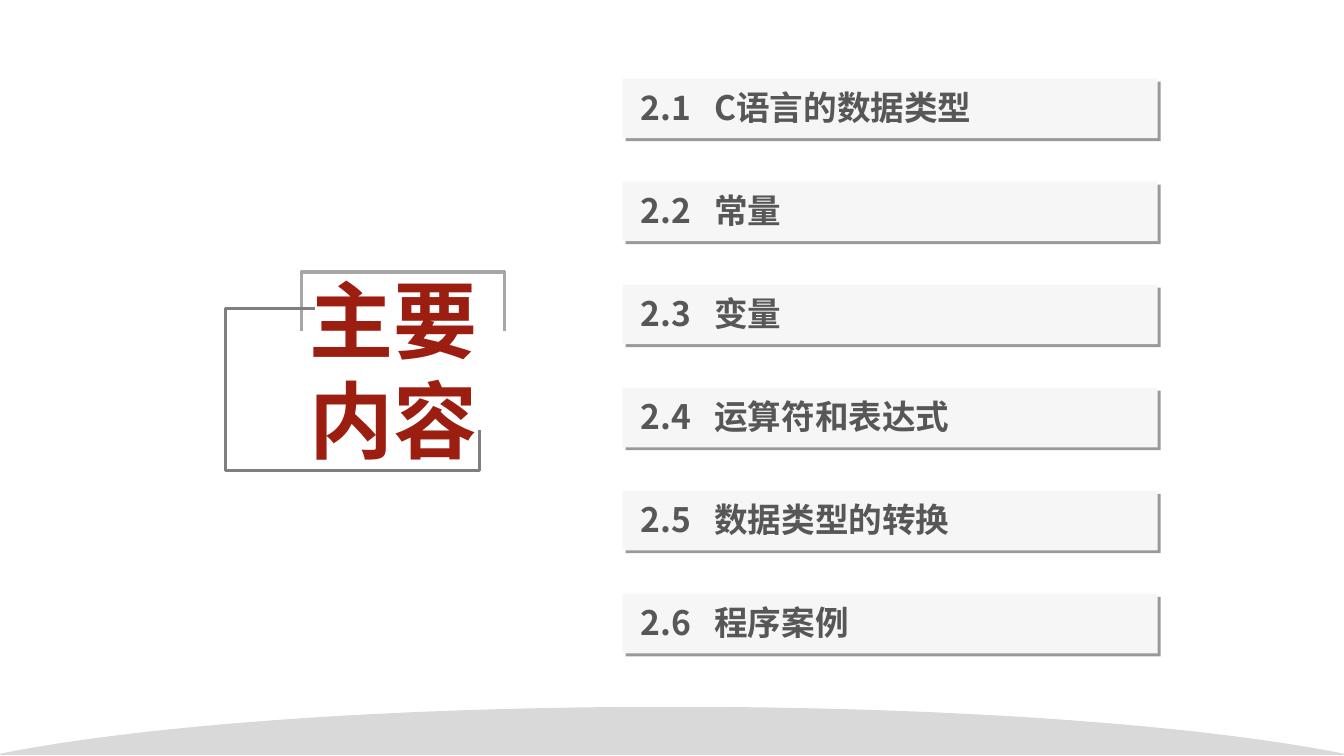
from lxml import etree
from pptx import Presentation
from pptx.dml.color import RGBColor
from pptx.enum.shapes import MSO_SHAPE
from pptx.enum.text import MSO_ANCHOR, PP_ALIGN
from pptx.oxml.ns import qn
from pptx.util import Pt

RECTANGLE = MSO_SHAPE.RECTANGLE
MIDDLE = MSO_ANCHOR.MIDDLE
LEFT, RIGHT = PP_ALIGN.LEFT, PP_ALIGN.RIGHT

SLIDE_W, SLIDE_H = 960.5, 540
FONT = "Noto Sans CJK SC"
TITLE_LINES = ["主要", "内容"]
SECTIONS = [
    ("2.1", "C语言的数据类型"),
    ("2.2", "常量"),
    ("2.3", "变量"),
    ("2.4", "运算符和表达式"),
    ("2.5", "数据类型的转换"),
    ("2.6", "程序案例"),
]
BAR_LEFT, BAR_TOP, BAR_W, BAR_H, BAR_PITCH = 445, 56.2, 382.3, 42.5, 73.6
HEADING_TAB = 52.5


def rgb(color):
    return RGBColor.from_string(color)


def add_child(parent, tag, **attributes):
    return etree.SubElement(parent, qn(tag), attributes)


def style_paragraph(paragraph, size, color, align):
    paragraph.alignment = align
    font = paragraph.font
    font.name, font.size, font.bold = FONT, Pt(size), True
    font.color.rgb = rgb(color)
    add_child(paragraph._p.pPr.find(qn("a:defRPr")), "a:ea", typeface=FONT)


def add_outline(slide, points, line_color, line_width, fill_color=None):
    """Draw a path through points; it is closed only when it has a fill."""
    corners = [(Pt(x), Pt(y)) for x, y in points]
    builder = slide.shapes.build_freeform(*corners[0], scale=1.0)
    builder.add_line_segments(corners[1:], close=fill_color is not None)
    outline = builder.convert_to_shape()
    outline.shadow.inherit = False
    if fill_color:
        outline.fill.solid()
        outline.fill.fore_color.rgb = rgb(fill_color)
    else:
        outline.fill.background()
    outline.line.color.rgb = rgb(line_color)
    outline.line.width = Pt(line_width)


def add_hill(slide, crest=505.4, shoulder=518.4, foot=538.9, steps=40):
    """Draw the flat dome along the foot of the slide, mirrored about its centre."""
    center = SLIDE_W / 2
    right_half = []
    for step in range(steps + 1):
        t = step / steps
        weights = ((1 - t) ** 3, 3 * t * (1 - t) ** 2, 3 * t ** 2 * (1 - t), t ** 3)
        x = sum(w * reach for w, reach in zip(weights, (0, 201.5, 378, center)))
        y = sum(w * level for w, level in zip(weights, (crest, crest, shoulder, foot)))
        right_half.append((x, y))
    left_side = [(center - x, y) for x, y in reversed(right_half)]
    right_side = [(center + x, y) for x, y in right_half[1:]]
    add_outline(slide, left_side + right_side, "D9D9D9", 1, "D9D9D9")


def add_title(slide):
    title = slide.shapes.add_textbox(Pt(97.2), Pt(188), Pt(251.3), Pt(151.2))
    frame = title.text_frame
    frame.word_wrap = True
    frame.text = "\n".join(TITLE_LINES)
    for paragraph in frame.paragraphs:
        style_paragraph(paragraph, 60, "9B1E11", RIGHT)


def add_hard_shadow(shape):
    shape.shadow.inherit = False
    effects = shape._element.spPr.find(qn("a:effectLst"))
    shadow = add_child(effects, "a:outerShdw", blurRad="0", dist=str(Pt(3)),
                       dir="2700000", algn="tl", rotWithShape="0")
    black = add_child(shadow, "a:srgbClr", val="000000")
    add_child(black, "a:alpha", val="40000")


def add_section_bar(slide, top, number, heading):
    bar = slide.shapes.add_shape(RECTANGLE, Pt(BAR_LEFT), Pt(top), Pt(BAR_W), Pt(BAR_H))
    bar.fill.solid()
    bar.fill.fore_color.rgb = rgb("F6F6F6")
    bar.line.fill.background()
    add_hard_shadow(bar)

    frame = bar.text_frame
    frame.word_wrap = True
    frame.vertical_anchor = MIDDLE
    frame.margin_left = Pt(13)
    frame.margin_top, frame.margin_bottom = Pt(2), Pt(4)
    paragraph = frame.paragraphs[0]
    paragraph.add_run().text = f"{number}\t{heading}"
    tabs = add_child(paragraph._p.get_or_add_pPr(), "a:tabLst")
    add_child(tabs, "a:tab", pos=str(Pt(HEADING_TAB)), algn="l")
    style_paragraph(paragraph, 24, "575757", LEFT)


def main():
    presentation = Presentation()
    presentation.slide_width, presentation.slide_height = Pt(SLIDE_W), Pt(SLIDE_H)
    slide = presentation.slides.add_slide(presentation.slide_layouts[6])

    add_hill(slide)
    add_title(slide)
    upper_bracket = [(215.3, 236.2), (215.3, 194.4), (360.7, 194.4), (360.7, 236.2)]
    lower_bracket = [(342.7, 307.4), (342.7, 336.2), (161.3, 336.2),
                     (161.3, 220.3), (225.4, 220.3)]
    add_outline(slide, upper_bracket, "A6A6A6", 2.5)
    add_outline(slide, lower_bracket, "7F7F7F", 2.5)
    for row, (number, heading) in enumerate(SECTIONS):
        add_section_bar(slide, BAR_TOP + row * BAR_PITCH, number, heading)

    presentation.save("out.pptx")


if __name__ == "__main__":
    main()
